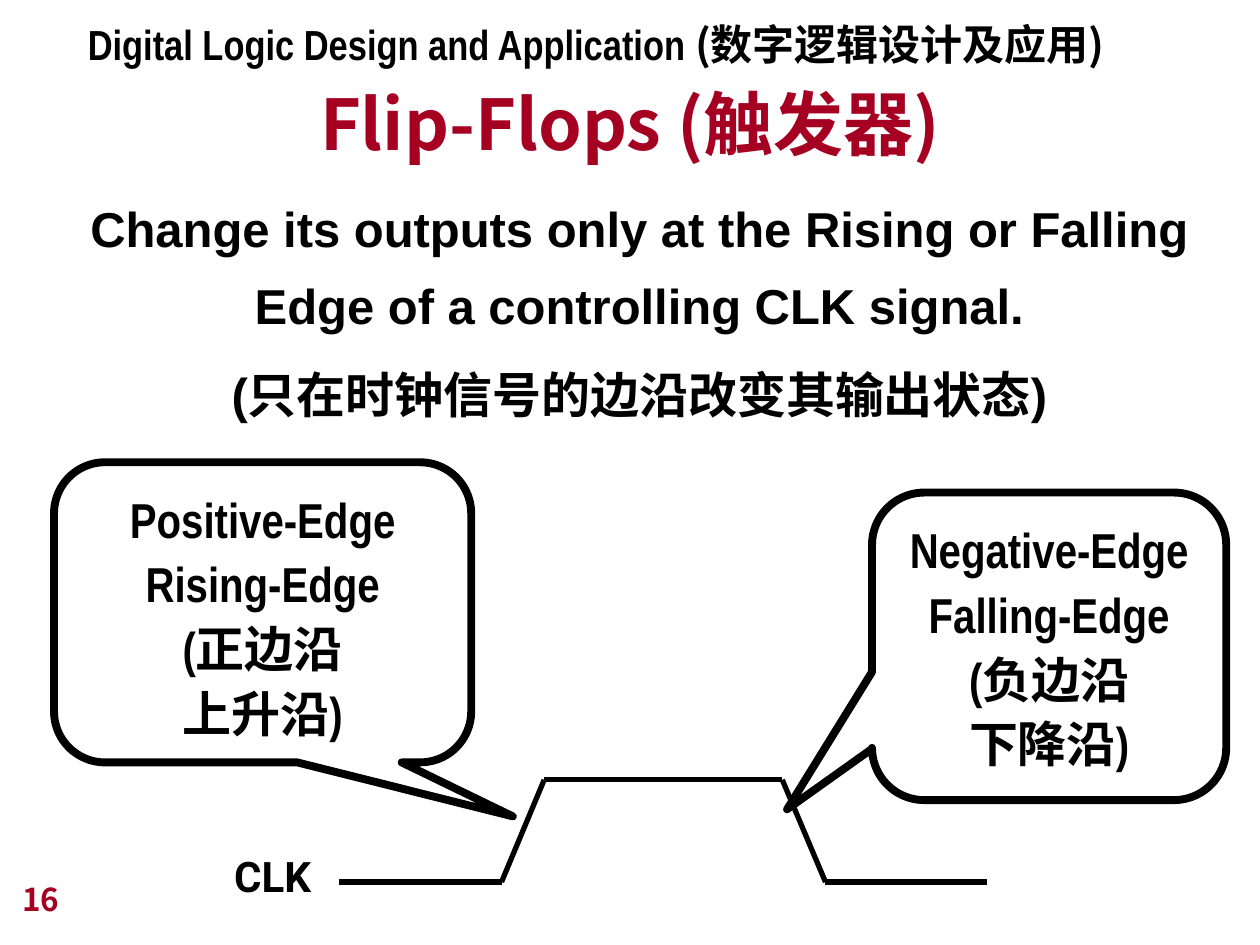
from dataclasses import dataclass, field
from itertools import pairwise

from lxml.etree import SubElement
from pptx import Presentation
from pptx.dml.color import RGBColor
from pptx.enum.shapes import MSO_CONNECTOR, MSO_SHAPE
from pptx.enum.text import MSO_ANCHOR, PP_ALIGN
from pptx.oxml.ns import qn
from pptx.util import Cm, Pt

COLORS = {"ink": "000000", "accent": "A50021"}
CJK = "Noto Sans CJK JP"
NARROW = "Arial Narrow"

Box = tuple[float, float, float, float]
Run = tuple[str, str]  # text, Latin font


@dataclass
class TextBlock:
    box: Box
    paragraphs: list[list[Run]]
    size: float
    color: str = "ink"
    anchor: MSO_ANCHOR = MSO_ANCHOR.TOP
    wrap: bool = True
    para_format: dict = field(default_factory=dict)
    gap: float = 0


@dataclass
class Callout(TextBlock):
    tip: tuple[float, float] = (0, 0)


def rgb(name: str) -> RGBColor:
    return RGBColor.from_string(COLORS[name])


def set_attrs(obj, values: dict) -> None:
    for name, value in values.items():
        setattr(obj, name, value)


def fill_text(tf, block: TextBlock) -> None:
    set_attrs(tf, {"word_wrap": block.wrap, "vertical_anchor": block.anchor})
    for i, runs in enumerate(block.paragraphs):
        p = tf.add_paragraph() if i else tf.paragraphs[0]
        set_attrs(p, {"alignment": PP_ALIGN.LEFT} | block.para_format)
        p.space_before = Pt(block.gap if i else 0)
        for text, font in runs:
            r = p.add_run()
            r.text = text
            set_attrs(r.font, {"name": font, "size": Pt(block.size), "bold": True})
            r.font.color.rgb = rgb(block.color)
            SubElement(r.font._element, qn("a:ea"), typeface=CJK)


def add_text(s, block: TextBlock) -> None:
    sp = s.shapes.add_textbox(*map(Cm, block.box))
    fill_text(sp.text_frame, block)


def add_callout(s, callout: Callout) -> None:
    sp = s.shapes.add_shape(MSO_SHAPE.ROUNDED_RECTANGULAR_CALLOUT, *map(Cm, callout.box))
    sp.shadow.inherit = False
    sp.fill.background()
    sp.line.color.rgb = rgb("ink")
    sp.line.width = Pt(4.5)
    for i, value in enumerate((*callout.tip, 0.17)):
        sp.adjustments[i] = value
    fill_text(sp.text_frame, callout)


def add_wave(s, points: list[tuple[float, float]]) -> None:
    for start, end in pairwise(points):
        line = s.shapes.add_connector(MSO_CONNECTOR.STRAIGHT, *map(Cm, start + end))
        line.line.color.rgb = rgb("ink")
        line.line.width = Pt(3)
        SubElement(line._element.spPr, qn("a:effectLst"))


CENTER = {"alignment": PP_ALIGN.CENTER}
BODY = CENTER | {"line_spacing": 1.3}
EDGE = CENTER | {"line_spacing": 1.1}
LOW, HIGH = 17.78, 15.72

TITLE = TextBlock((2.54, 0.91, 20.32, 2.54), [[("Flip-Flops (触发器)", CJK)]], 40,
                  "accent", MSO_ANCHOR.BOTTOM, para_format=CENTER)
SUMMARY = TextBlock(
    (0.89, 3.53, 24, 5.51),
    [[("Change its outputs only at the Rising or Falling Edge of a controlling CLK signal.",
       "Arial")],
     [("(只在时钟信号的边沿改变其输出状态)", "Arial")]],
    28, para_format=BODY, gap=7)
CLOCK_LABEL = TextBlock((4.47, 17.02, 2.08, 1.27), [[("CLK", "Roboto")]], 24, wrap=False)
HEADER = TextBlock(
    (1.52, 0.25, 21.36, 1.27),
    [[("Digital Logic Design and Application ", NARROW), ("(数字逻辑设计及应用)", CJK)]], 24)
PAGE_NUMBER = TextBlock((0.2, 17.35, 5.28, 1.27), [[("16", CJK)]], 18,
                        "accent", MSO_ANCHOR.BOTTOM)
CLOCK_WAVE = [(6.83, LOW), (10.11, LOW), (10.97, HIGH),
              (15.77, HIGH), (16.64, LOW), (19.89, LOW)]
CALLOUTS = [
    Callout(box, [[(line, NARROW)] for line in lines], 28, para_format=EDGE, tip=tip)
    for box, lines, tip in [
        ((1.09, 9.32, 8.41, 6.05),
         ["Positive-Edge", "Rising-Edge", "(正边沿", "上升沿)"], (0.6, 0.68)),
        ((17.58, 9.93, 7.14, 6.2),
         ["Negative-Edge", "Falling-Edge", "(负边沿", "下降沿)"], (-0.74, 0.53)),
    ]
]


def main() -> None:
    prs = Presentation()
    set_attrs(prs, {"slide_width": Cm(25.4), "slide_height": Cm(19.05)})
    s = prs.slides.add_slide(prs.slide_layouts[6])
    add_wave(s, CLOCK_WAVE)
    for callout in CALLOUTS:
        add_callout(s, callout)
    for block in (TITLE, SUMMARY, CLOCK_LABEL, HEADER, PAGE_NUMBER):
        add_text(s, block)
    prs.save("out.pptx")


if __name__ == "__main__":
    main()
